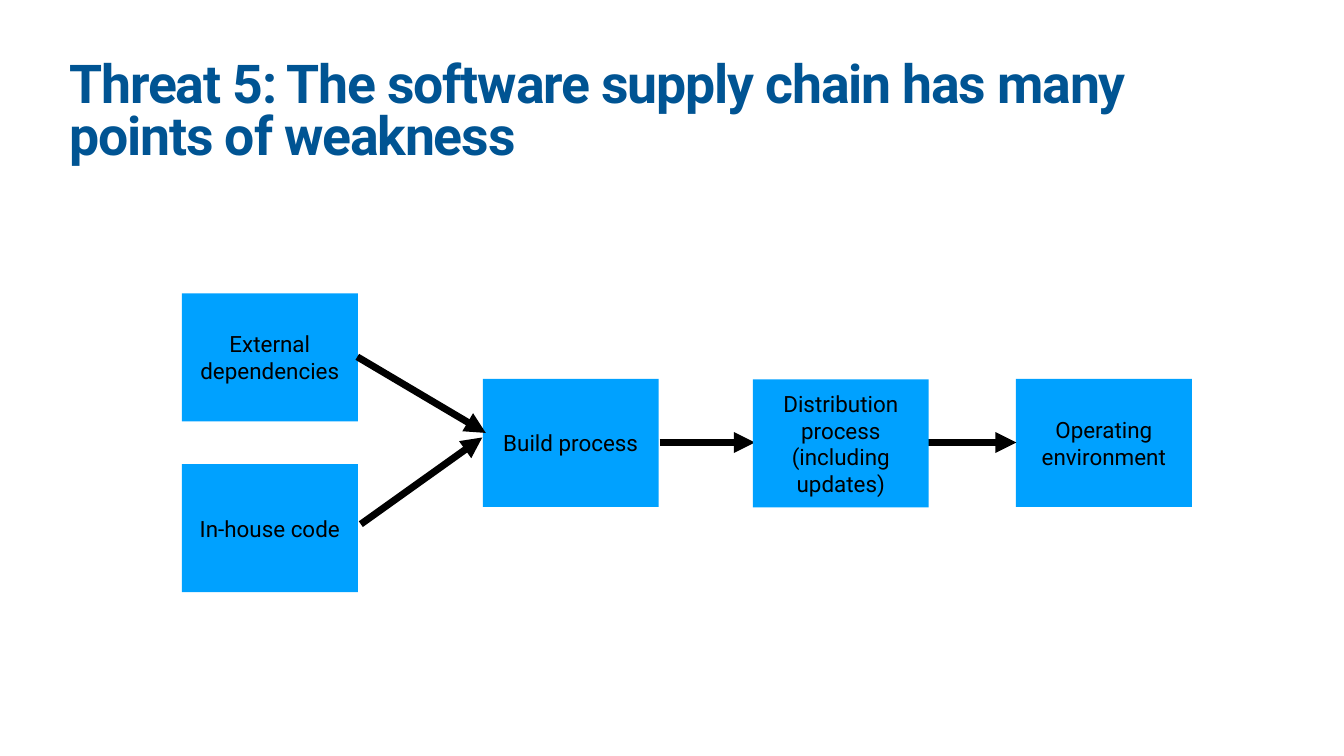
from dataclasses import dataclass

from lxml.etree import SubElement
from pptx import Presentation
from pptx.dml.color import RGBColor
from pptx.enum.shapes import MSO_CONNECTOR, MSO_SHAPE
from pptx.enum.text import MSO_ANCHOR, PP_ALIGN
from pptx.oxml.ns import qn
from pptx.slide import Slide
from pptx.text.text import TextFrame
from pptx.util import Inches, Pt

TITLE_BLUE = RGBColor(0x00, 0x54, 0x93)
STAGE_BLUE = RGBColor(0x00, 0xA1, 0xFF)
BLACK = RGBColor(0x00, 0x00, 0x00)
STAGE_WIDTH, STAGE_HEIGHT = 3.49, 2.54
FLOW_TOP = 7.52
FLOW_MIDDLE = 8.78


@dataclass(frozen=True)
class Stage:
    label: str
    left: float
    top: float


@dataclass(frozen=True)
class Arrow:
    start: tuple[float, float]
    end: tuple[float, float]


SUPPLY_CHAIN = [
    Stage("In-house code", 3.61, 9.21),
    Arrow((13.09, FLOW_MIDDLE), (14.98, FLOW_MIDDLE)),
    Stage("External dependencies", 3.61, 5.82),
    Stage("Build process", 9.58, FLOW_TOP),
    Stage("Operating environment", 20.16, FLOW_TOP),
    Arrow((7.09, 7.08), (9.64, 8.59)),
    Arrow((18.28, FLOW_MIDDLE), (20.17, FLOW_MIDDLE)),
    Stage("Distribution process (including updates)", 14.94, 7.53),
    Arrow((7.16, 10.4), (9.57, 8.68)),
]


def write_text(frame: TextFrame, text: str, *, size: float, color: RGBColor,
               bold: bool = False, align: PP_ALIGN = PP_ALIGN.LEFT,
               anchor: MSO_ANCHOR = MSO_ANCHOR.TOP,
               line_spacing: float = 1.0, tracking: float = 0) -> None:
    frame.word_wrap = True
    frame.vertical_anchor = anchor
    frame.margin_left = frame.margin_right = Inches(0.06)
    frame.margin_top = frame.margin_bottom = Inches(0.06)
    para = frame.paragraphs[0]
    para.alignment = align
    para.line_spacing = line_spacing
    span = para.add_run()
    span.text = text
    span.font.name = "Roboto"
    span.font.size = Pt(size)
    span.font.bold = bold
    span.font.color.rgb = color
    if tracking:
        span.font._element.set("spc", str(round(tracking * 100)))


def draw_title(page: Slide, text: str) -> None:
    box = page.shapes.add_textbox(Inches(1.32), Inches(1.18), Inches(24.03), Inches(1.57))
    write_text(box.text_frame, text, size=76.5, color=TITLE_BLUE, bold=True,
               line_spacing=0.8, tracking=-1.7)


def draw_stage(page: Slide, stage: Stage) -> None:
    box = page.shapes.add_shape(
        MSO_SHAPE.RECTANGLE, Inches(stage.left), Inches(stage.top),
        Inches(STAGE_WIDTH), Inches(STAGE_HEIGHT))
    box.shadow.inherit = False
    box.fill.solid()
    box.fill.fore_color.rgb = STAGE_BLUE
    box.line.fill.background()
    write_text(box.text_frame, stage.label, size=32, color=BLACK,
               align=PP_ALIGN.CENTER, anchor=MSO_ANCHOR.MIDDLE)


def draw_arrow(page: Slide, arrow: Arrow) -> None:
    connector = page.shapes.add_connector(
        MSO_CONNECTOR.STRAIGHT, *map(Inches, arrow.start + arrow.end))
    connector.line.color.rgb = BLACK
    connector.line.width = Pt(10)
    SubElement(connector.line._get_or_add_ln(), qn("a:tailEnd"), type="triangle")
    SubElement(connector._element.spPr, qn("a:effectLst"))


def main() -> None:
    deck = Presentation()
    deck.slide_width, deck.slide_height = Inches(26.67), Inches(15)
    page = deck.slides.add_slide(deck.slide_layouts[6])
    draw_title(page, "Threat 5: The software supply chain has many points of weakness")
    for item in SUPPLY_CHAIN:
        if isinstance(item, Stage):
            draw_stage(page, item)
        else:
            draw_arrow(page, item)
    deck.save("out.pptx")


if __name__ == "__main__":
    main()
